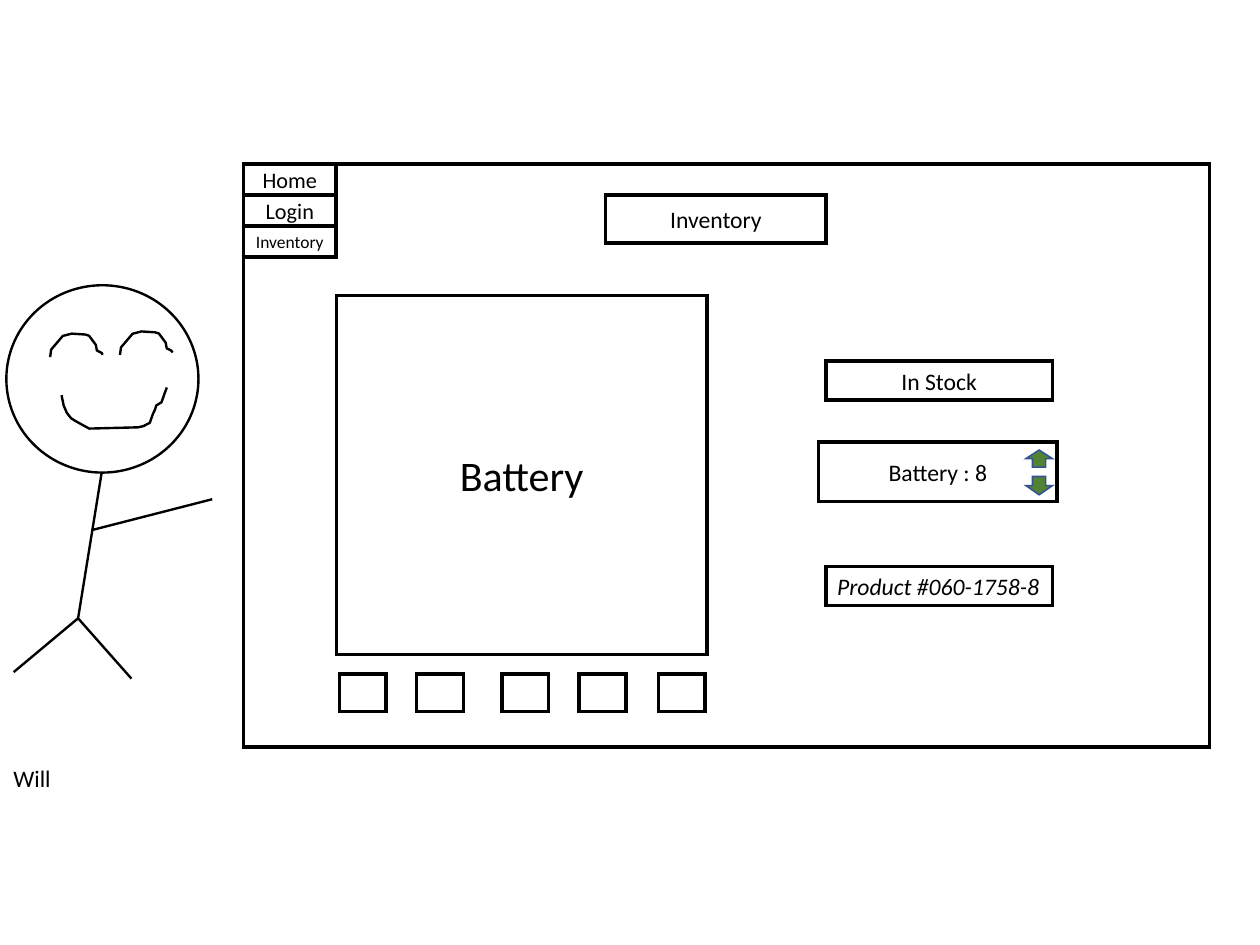
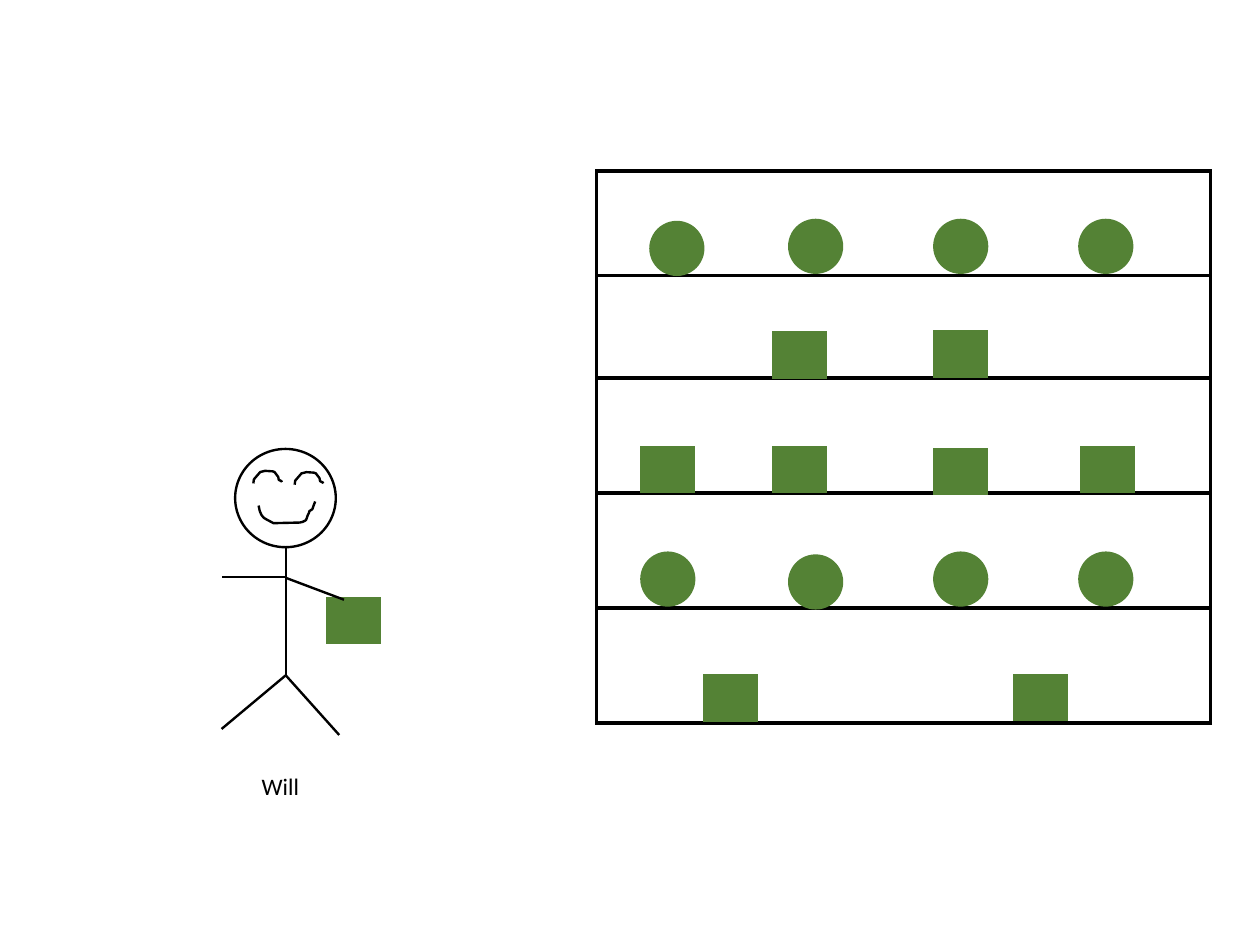
from lxml import etree
from pptx import Presentation
from pptx.dml.color import RGBColor
from pptx.enum import shapes, text
from pptx.oxml.ns import qn
from pptx.util import Pt

RECT = shapes.MSO_SHAPE.RECTANGLE
OVAL = shapes.MSO_SHAPE.OVAL
BLACK, WHITE, GREEN, ARROW_EDGE = "000000", "FFFFFF", "548235", "325491"
THIN, THICK = 1.5, 2.25

# Strokes of the face, in percent of their box
EYE = [(0, 100), (2, 68), (24, 10), (41, 0), (67, 4), (74, 9),
       (87, 48), (89, 72), (98, 82), (100, 90)]
MOUTH = [(0, 19), (2, 44), (5, 62), (9, 75), (14, 83), (26, 100), (72, 97),
         (77, 94), (83, 86), (86, 64), (88, 53), (89, 44), (94, 36),
         (97, 14), (99, 0)]


def color(hex_code):
    return RGBColor.from_string(hex_code)


def write(frame, words, size=14.9, italic=False, align="CENTER", inset=7.2,
          wrap=True):
    frame.word_wrap = wrap
    frame.margin_left = frame.margin_right = Pt(inset)
    paragraph = frame.paragraphs[0]
    paragraph.alignment = getattr(text.PP_ALIGN, align)
    run = paragraph.add_run()
    run.text = words
    run.font.name = "Calibri"
    run.font.size = Pt(size)
    run.font.italic = italic
    run.font.color.rgb = color(BLACK)


class Sketch:
    """Holds the presentation, its style and the current slide."""

    def __init__(self, width, height):
        self.deck = Presentation()
        self.deck.slide_width, self.deck.slide_height = Pt(width), Pt(height)

    def new_slide(self):
        blank = self.deck.slide_layouts[6]
        self.shapes = self.deck.slides.add_slide(blank).shapes

    def box(self, left, top, width, height, words=None, kind=RECT, fill=WHITE,
            edge=BLACK, weight=THICK, **style):
        box = self.shapes.add_shape(kind, Pt(left), Pt(top), Pt(width), Pt(height))
        box.shadow.inherit = False
        box.fill.solid()
        box.fill.fore_color.rgb = color(fill)
        box.line.color.rgb = color(edge)
        box.line.width = Pt(weight)
        # Sharp corners
        outline = box._element.spPr.find(qn("a:ln"))
        etree.SubElement(outline, qn("a:miter"), lim="800000")
        if words:
            box.text_frame.vertical_anchor = text.MSO_ANCHOR.MIDDLE
            write(box.text_frame, words, **style)

    def item(self, left, top, kind=RECT):
        height = 33.8 if kind == OVAL else 28.8
        self.box(left, top, 33.8, height, kind=kind, fill=GREEN, edge=GREEN, weight=1)

    def line(self, start, end, weight=THIN):
        line = self.shapes.add_connector(
            shapes.MSO_CONNECTOR.STRAIGHT, *(Pt(v) for v in (*start, *end)))
        line.line.color.rgb = color(BLACK)
        line.line.width = Pt(weight)
        etree.SubElement(line._element.spPr, qn("a:effectLst"))

    def stroke(self, points, left, top, width, height):
        spots = [(Pt(left + x * width / 100), Pt(top + y * height / 100))
                 for x, y in points]
        builder = self.shapes.build_freeform(*spots[0])
        builder.add_line_segments(spots[1:], close=False)
        stroke = builder.convert_to_shape()
        stroke.shadow.inherit = False
        stroke.fill.background()
        stroke.line.color.rgb = color(BLACK)
        stroke.line.width = Pt(THIN)

    def label(self, left, top, words):
        label = self.shapes.add_textbox(Pt(left), Pt(top), Pt(38.2), Pt(25.2))
        label.text_frame.auto_size = text.MSO_AUTO_SIZE.SHAPE_TO_FIT_TEXT
        write(label.text_frame, words, align="LEFT", wrap=False)

    def figure(self, head, limbs, eyes, eye_size, mouth, name_at):
        self.box(*head, kind=OVAL, weight=THIN)
        for start, end in limbs:
            self.line(start, end)
        for eye in eyes:
            self.stroke(EYE, *eye, *eye_size)
        self.stroke(MOUTH, *mouth)
        self.label(*name_at, "Will")


def inventory_screen(sketch):
    sketch.new_slide()

    # Person pointing at the screen
    hip = (49.2, 389.5)
    sketch.figure(
        head=(4, 179.7, 121, 118),
        limbs=[((64.1, 297.4), hip), ((57.6, 334), (133.7, 314.5)),
               (hip, (8.6, 423.4)), (hip, (82.8, 427.5))],
        eyes=[(31.6, 210.2), (75.6, 208.8)], eye_size=(33.1, 14.8),
        mouth=(38.8, 244.1, 67, 25.9), name_at=(1.4, 477.4))

    # Screen with title, product and stock fields
    left, top = 153.4, 103.5
    sketch.box(left, top, 608.4, 367.2)
    sketch.box(381.5, 123, 139, 30.2, "Inventory")
    sketch.box(212, 186.2, 233.3, 226.1, "Battery", size=26.5)
    sketch.box(520.3, 227.5, 142.6, 24.5, "In Stock")
    sketch.box(515.5, 278.6, 150.5, 37.4, "Battery : 8")
    sketch.box(520.3, 357, 142.6, 24.5, "Product #060-1758-8",
               italic=True, align="LEFT", inset=7)

    # Thumbnails
    for thumb_left in (213.8, 262.4, 316.1, 364.7, 414.7):
        sketch.box(thumb_left, 424.5, 29.5, 23.8)

    # Count arrows
    for kind, arrow_top, height in ((shapes.MSO_SHAPE.DOWN_ARROW, 300.2, 11.5),
                                    (shapes.MSO_SHAPE.UP_ARROW, 283.5, 10.8)):
        sketch.box(646.3, arrow_top, 16.6, height, kind=kind, fill=GREEN,
                   edge=ARROW_EDGE, weight=1)

    # Menu
    for row, (entry, size) in enumerate((("Home", 14), ("Login", 14),
                                         ("Inventory", 11))):
        sketch.box(left, top + row * 19.5, 58.3, 19.5, entry, size=size, inset=4)


def stock_shelves(sketch):
    sketch.new_slide()

    # Person
    hip = (180, 425.4)
    sketch.figure(
        head=(148.1, 282.8, 63.4, 61.9),
        limbs=[((180, 344.9), hip), ((140.1, 363.6), (179.6, 363.6)),
               (hip, (139.6, 459.2)), (hip, (213.7, 463))],
        eyes=[(159.6, 296.6), (185.6, 297.4)], eye_size=(18, 7.9),
        mouth=(162.9, 315.9, 36, 13.7), name_at=(157.8, 482.8))

    # Shelves
    left, width = 375.8, 386.8
    sketch.box(left, 107.8, width, 347.8)
    for level in (173.5, 238.3, 310.7, 383):
        sketch.line((left, level), (left + width, level), weight=THICK)

    # Goods, shelf by shelf
    goods = [
        (OVAL, [(409.5, 139.6), (496.9, 138.3), (588.3, 138.3), (679.7, 138.3)]),
        (RECT, [(486.5, 209.2), (588.3, 208.6)]),
        (RECT, [(403.7, 281.6), (486.5, 281.6), (588.3, 282.6), (680.9, 281.5)]),
        (OVAL, [(403.8, 347.9), (496.9, 349.7), (588.3, 347.9), (679.7, 347.9)]),
        (RECT, [(443.4, 425.3), (638.7, 424.9)]),
    ]
    for kind, places in goods:
        for place in places:
            sketch.item(*place, kind)

    # Box in hand
    sketch.item(205.9, 376.5)
    sketch.line((180.6, 364.2), (216.7, 377.8))


def main():
    sketch = Sketch(793.7, 595.28)
    inventory_screen(sketch)
    stock_shelves(sketch)
    sketch.deck.save("out.pptx")


if __name__ == "__main__":
    main()
